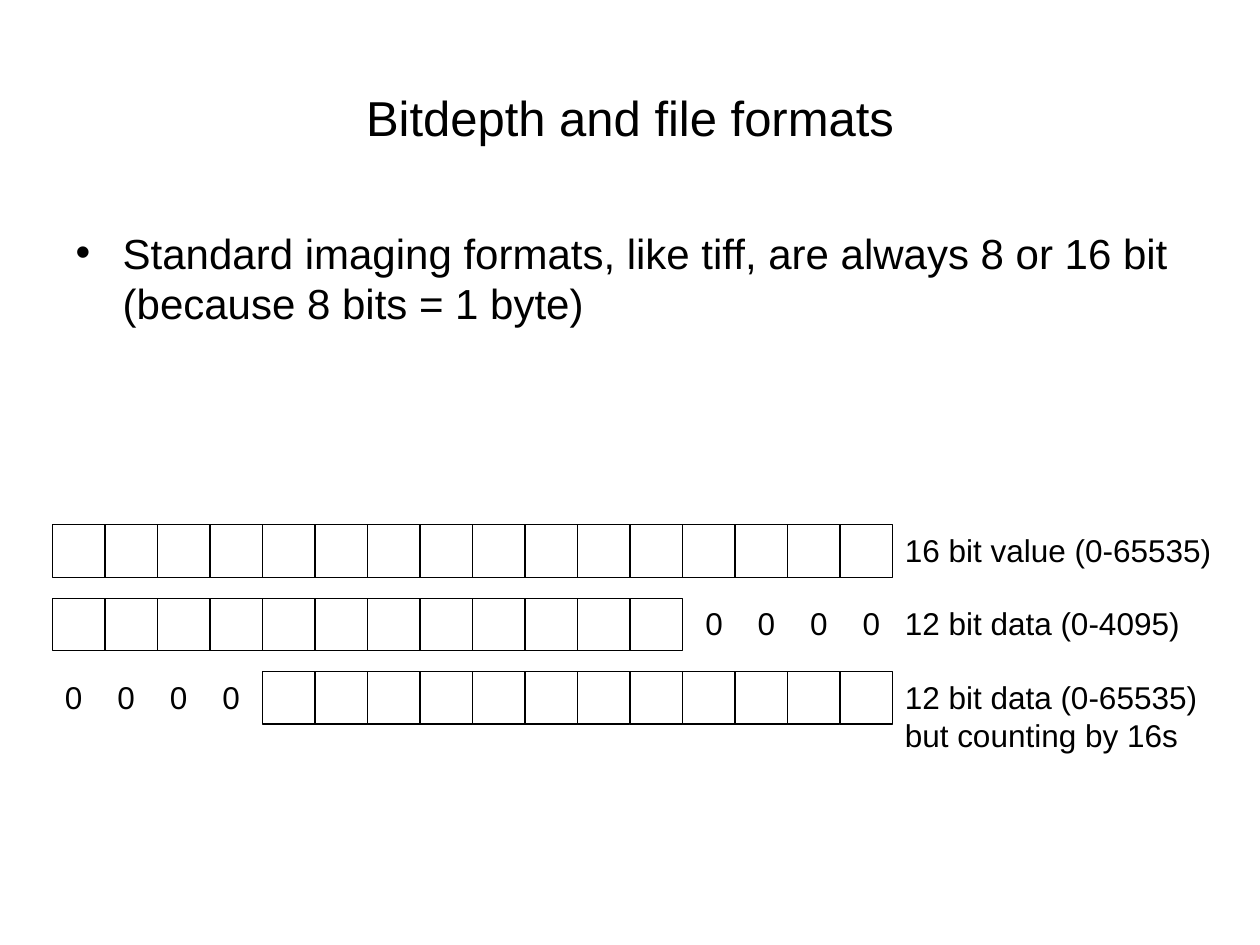
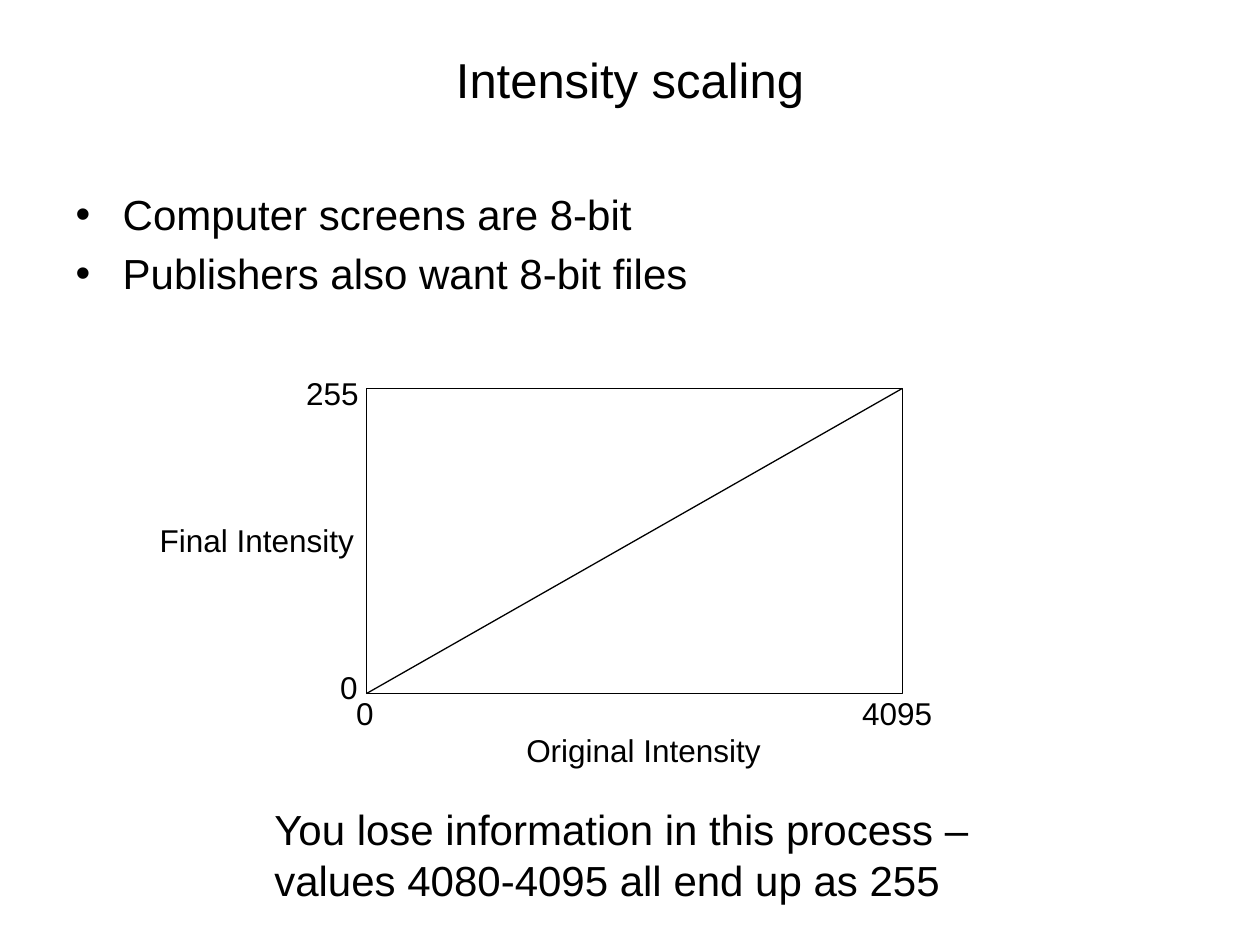
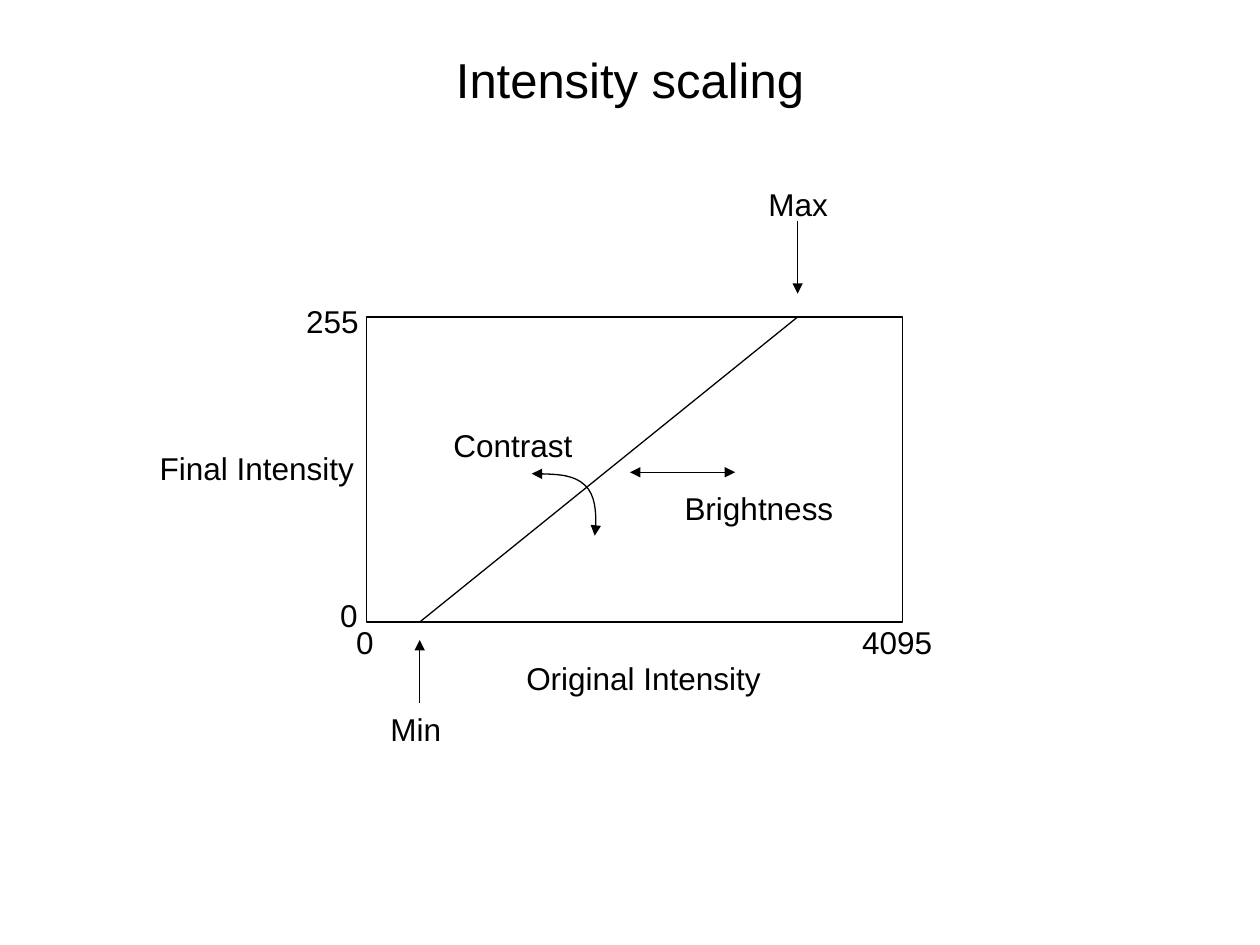
from dataclasses import dataclass

from lxml.etree import SubElement
from pptx import Presentation
from pptx.dml.color import RGBColor
from pptx.enum.shapes import MSO_CONNECTOR, MSO_SHAPE
from pptx.enum.text import MSO_ANCHOR, MSO_AUTO_SIZE, PP_ALIGN
from pptx.oxml.ns import qn
from pptx.slide import Slide
from pptx.util import Cm, Pt

# Shared look; all plain numbers below are centimetres
COLORS = {"ink": "000000", "paper": "FFFFFF"}
FONT = "Arial"
TITLE_SIZE, BODY_SIZE, LABEL_SIZE = 28, 24, 18
LINE_WIDTH = Pt(0.75)
MARGIN, CONTENT_WIDTH = 1.27, 22.86
BULLET_INDENT = 0.95

# Bit rows
ROW_LEFT, ROW_TOP, ROW_STEP = 1.06, 10.58, 1.48
BIT_COUNT = 16
BIT = 16.93 / BIT_COUNT

# Intensity plot
PLOT_LEFT, PLOT_WIDTH, PLOT_HEIGHT = 7.39, 10.8, 6.15


@dataclass
class Label:
    left: float
    top: float
    width: float
    lines: tuple[str, ...]
    size: int = LABEL_SIZE
    height: float = 1.02


@dataclass
class BitRow:
    data: range
    zero_shift: float
    lines: tuple[str, ...]
    label_width: float


@dataclass
class Line:
    start: tuple[float, float]
    end: tuple[float, float]
    head: bool = False
    tail: bool = False


BIT_ROWS = [
    BitRow(range(16), 0, ("16 bit value (0-65535)",), 6.68),
    BitRow(range(12), 0.21, ("12 bit data (0-4095)",), 6.05),
    BitRow(range(4, 16), 0, ("12 bit data (0-65535)", "but counting by 16s"), 6.4),
]

# Tops are measured from the top of the plot
AXIS_LABELS = [
    Label(6.93, 6.04, 0.86, ("0",)),
    Label(17.13, 6.04, 1.93, ("4095",)),
    Label(6.61, 5.51, 0.86, ("0",)),
    Label(5.92, -0.42, 1.57, ("255",)),
    Label(10.36, 6.78, 5.23, ("Original Intensity",)),
    Label(2.97, 2.54, 4.42, ("Final Intensity",)),
]

INFORMATION_LOSS = Label(
    5.28, 16.08, 14.83,
    ("You lose information in this process –", "values 4080-4095 all end up as 255"),
    BODY_SIZE, 2.29,
)

MIN_X, MAX_X = 8.46, 16.08
ADJUSTMENT_ARROWS = [
    Line((MIN_X, 14.17), (MIN_X, 12.9), tail=True),
    Line((MAX_X, 4.45), (MAX_X, 5.92), tail=True),
    Line((12.7, 9.52), (14.82, 9.52), head=True, tail=True),
]
ADJUSTMENT_LABELS = [
    Label(7.62, 14.18, 1.58, ("Min",)),
    Label(15.24, 3.6, 1.72, ("Max",)),
    Label(13.55, 9.74, 3.52, ("Brightness",)),
    Label(8.89, 8.47, 2.94, ("Contrast",)),
]
# Start, then two control points and an end for each Bézier segment
CONTRAST_CURVE = [(10.72, 9.55), (11.15, 9.55), (11.58, 9.58), (11.79, 9.78),
                  (12.01, 9.98), (12.04, 10.62), (11.99, 10.8)]


# Text
def add_run(paragraph, text: str, size: int) -> None:
    run = paragraph.add_run()
    run.text = text
    run.font.name = FONT
    run.font.size = Pt(size)
    run.font.color.rgb = RGBColor.from_string(COLORS["ink"])


def paragraph_at(frame, index: int):
    return frame.add_paragraph() if index else frame.paragraphs[0]


def add_label(slide: Slide, label: Label, shift: float = 0) -> None:
    box = slide.shapes.add_textbox(Cm(label.left), Cm(label.top + shift),
                                   Cm(label.width), Cm(label.height))
    frame = box.text_frame
    frame.word_wrap = False
    frame.auto_size = MSO_AUTO_SIZE.SHAPE_TO_FIT_TEXT
    for index, text in enumerate(label.lines):
        add_run(paragraph_at(frame, index), text, label.size)


def place(shape, top: float, height: float) -> None:
    shape.left, shape.top = Cm(MARGIN), Cm(top)
    shape.width, shape.height = Cm(CONTENT_WIDTH), Cm(height)
    shape.text_frame.auto_size = MSO_AUTO_SIZE.NONE


def add_slide(deck, layout: int, title: str, top: float = 0) -> Slide:
    slide = deck.slides.add_slide(deck.slide_layouts[layout])
    slide.background.fill.solid()
    slide.background.fill.fore_color.rgb = RGBColor.from_string(COLORS["paper"])
    heading = slide.shapes.title
    place(heading, top, 3.18)
    heading.text_frame.vertical_anchor = MSO_ANCHOR.MIDDLE
    paragraph = heading.text_frame.paragraphs[0]
    paragraph.alignment = PP_ALIGN.CENTER
    add_run(paragraph, title, TITLE_SIZE)
    return slide


def fill_body(slide: Slide, top: float, points: list[str]) -> None:
    body = slide.placeholders[1]
    place(body, top, 12.57)
    for index, point in enumerate(points):
        paragraph = paragraph_at(body.text_frame, index)
        properties = paragraph._p.get_or_add_pPr()
        properties.set("marL", str(Cm(BULLET_INDENT)))
        properties.set("indent", str(-Cm(BULLET_INDENT)))
        SubElement(properties, qn("a:buFont"), typeface=FONT)
        SubElement(properties, qn("a:buChar"), char="•")
        paragraph.space_before = Pt(0.2 * BODY_SIZE if index else 0)
        add_run(paragraph, point, BODY_SIZE)


# Outlines, lines and arrows
def style_line(shape, head: bool = False, tail: bool = False) -> None:
    shape.line.width = LINE_WIDTH
    shape.line.color.rgb = RGBColor.from_string(COLORS["ink"])
    outline = shape._element.spPr.find(qn("a:ln"))
    for tag, wanted in (("a:headEnd", head), ("a:tailEnd", tail)):
        if wanted:
            SubElement(outline, qn(tag), type="triangle")


def add_box(slide: Slide, left: float, top: float, width: float, height: float) -> None:
    box = slide.shapes.add_shape(MSO_SHAPE.RECTANGLE, Cm(left), Cm(top),
                                 Cm(width), Cm(height))
    box.shadow.inherit = False
    box.fill.background()
    style_line(box)


def add_line(slide: Slide, line: Line) -> None:
    connector = slide.shapes.add_connector(
        MSO_CONNECTOR.STRAIGHT, *(Cm(value) for value in line.start + line.end))
    style_line(connector, line.head, line.tail)
    SubElement(connector._element.spPr, qn("a:effectLst"))


def add_curved_arrow(slide: Slide, points: list[tuple[float, float]]) -> None:
    start, *rest = [(Cm(x), Cm(y)) for x, y in points]
    builder = slide.shapes.build_freeform(*start)
    builder.add_line_segments(rest, close=False)
    curve = builder.convert_to_shape()
    curve.shadow.inherit = False
    curve.fill.background()
    style_line(curve, head=True, tail=True)
    # Join each three straight segments into one Bézier segment
    outline = next(curve._element.iter(qn("a:path")))
    segments = outline.findall(qn("a:lnTo"))
    for first in range(0, len(segments), 3):
        bezier = SubElement(outline, qn("a:cubicBezTo"))
        for segment in segments[first:first + 3]:
            bezier.append(segment[0])
            outline.remove(segment)


# Diagrams
def add_bit_row(slide: Slide, row: BitRow, top: float) -> None:
    for bit in range(BIT_COUNT):
        left = ROW_LEFT + bit * BIT
        if bit in row.data:
            add_box(slide, left, top, BIT, BIT)
        else:
            add_label(slide, Label(left + row.zero_shift, top, 0.86, ("0",)))
    height = 1.02 + 0.76 * (len(row.lines) - 1)
    add_label(slide, Label(ROW_LEFT + BIT_COUNT * BIT, top, row.label_width,
                           row.lines, height=height))


def add_intensity_plot(slide: Slide, top: float, low: float, high: float) -> None:
    add_box(slide, PLOT_LEFT, top, PLOT_WIDTH, PLOT_HEIGHT)
    add_line(slide, Line((low, top + PLOT_HEIGHT), (high, top)))
    for label in AXIS_LABELS:
        add_label(slide, label, top)


# Slides
def build_file_formats(deck) -> None:
    slide = add_slide(deck, 1, "Bitdepth and file formats", 0.76)
    fill_body(slide, 4.45, ["Standard imaging formats, like tiff, are always "
                            "8 or 16 bit (because 8 bits = 1 byte)"])
    for index, row in enumerate(BIT_ROWS):
        add_bit_row(slide, row, ROW_TOP + index * ROW_STEP)


def build_full_scaling(deck) -> None:
    slide = add_slide(deck, 1, "Intensity scaling")
    fill_body(slide, 3.68, ["Computer screens are 8-bit",
                            "Publishers also want 8-bit files"])
    add_intensity_plot(slide, 7.83, PLOT_LEFT, PLOT_LEFT + PLOT_WIDTH)
    add_label(slide, INFORMATION_LOSS)


def build_adjusted_scaling(deck) -> None:
    slide = add_slide(deck, 5, "Intensity scaling")
    add_intensity_plot(slide, 6.39, MIN_X, MAX_X)
    for arrow in ADJUSTMENT_ARROWS:
        add_line(slide, arrow)
    add_curved_arrow(slide, CONTRAST_CURVE)
    for label in ADJUSTMENT_LABELS:
        add_label(slide, label)


def main() -> None:
    deck = Presentation()
    deck.slide_width, deck.slide_height = Cm(25.4), Cm(19.05)
    build_file_formats(deck)
    build_full_scaling(deck)
    build_adjusted_scaling(deck)
    deck.save("out.pptx")


if __name__ == "__main__":
    main()
